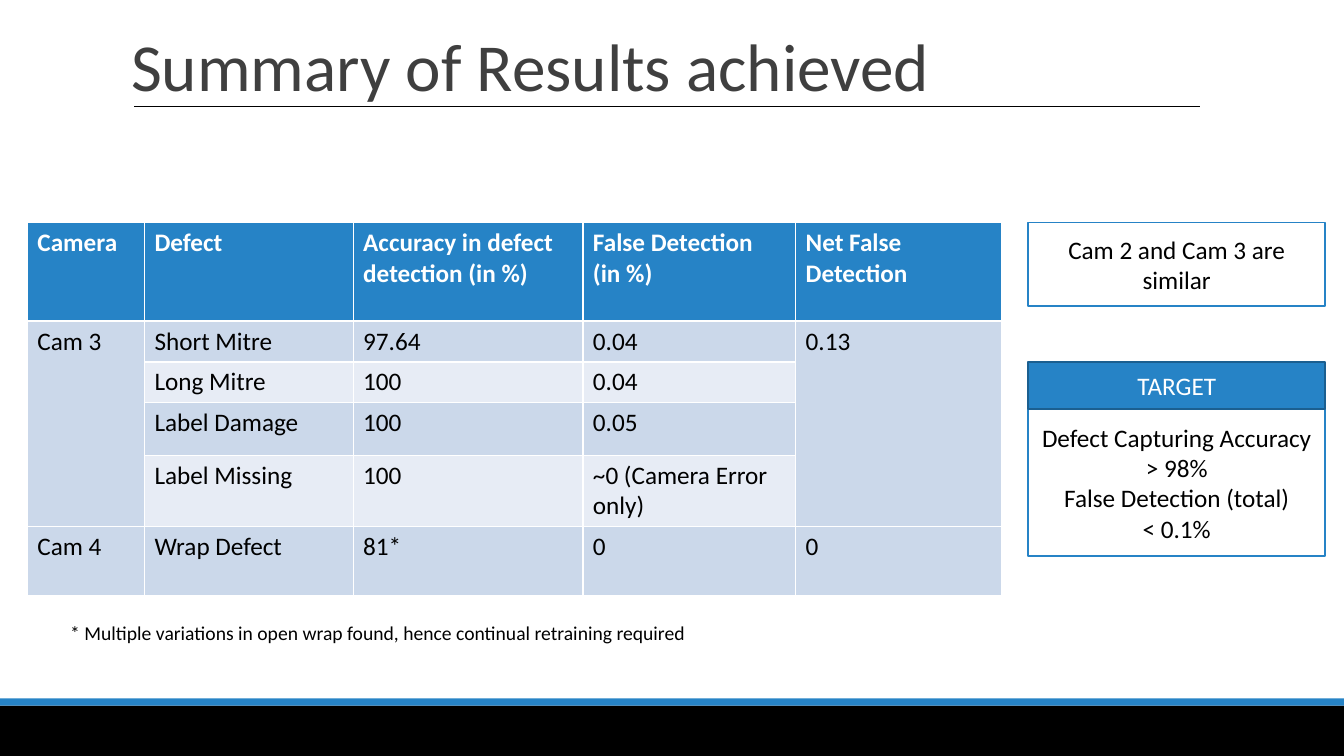
from lxml import etree
from pptx import Presentation
from pptx.dml.color import RGBColor
from pptx.enum.shapes import MSO_CONNECTOR, MSO_SHAPE
from pptx.enum.text import MSO_ANCHOR, PP_ALIGN
from pptx.oxml.ns import qn
from pptx.util import Cm, Pt

RECTANGLE = MSO_SHAPE.RECTANGLE
STRAIGHT = MSO_CONNECTOR.STRAIGHT
TOP, MIDDLE = MSO_ANCHOR.TOP, MSO_ANCHOR.MIDDLE
LEFT, CENTER = PP_ALIGN.LEFT, PP_ALIGN.CENTER

BLACK = RGBColor(0x00, 0x00, 0x00)
WHITE = RGBColor(0xFF, 0xFF, 0xFF)
TITLE_GREY = RGBColor(0x3F, 0x3F, 0x3F)
BLUE = RGBColor(0x26, 0x83, 0xC6)
DARK_BLUE = RGBColor(0x1B, 0x5F, 0x90)
BAND_DARK = RGBColor(0xCB, 0xD8, 0xEA)
BAND_LIGHT = RGBColor(0xE7, 0xEC, 0xF5)

FONT = "Calibri"
SLIDE_WIDTH, SLIDE_HEIGHT = Cm(33.87), Cm(19.05)
CONTENT_TOP = Cm(5.61)

COLUMN_WIDTHS = [2.95, 5.26, 5.79, 5.36, 5.2]
ROW_HEIGHTS = [2.48, 1.02, 1.02, 1.32, 1.74, 1.74]
RESULTS = [
    ["Camera", "Defect", "Accuracy in defect detection (in %)",
     "False Detection (in %)", "Net False Detection"],
    ["Cam 3", "Short Mitre", "97.64", "0.04", "0.13"],
    ["", "Long Mitre", "100", "0.04", ""],
    ["", "Label Damage", "100", "0.05", ""],
    ["", "Label Missing", "100", "~0 (Camera Error only)", ""],
    ["Cam 4", "Wrap Defect", "81*", "0", "0"],
]


def write(text_frame, text, size, color, align=LEFT, bold=False):
    text_frame.text = text
    text_frame.word_wrap = True
    for paragraph in text_frame.paragraphs:
        paragraph.alignment = align
        font = paragraph.font
        font.name, font.size, font.bold = FONT, Pt(size), bold
        font.color.rgb = color


def add_box(slide, left, top, width, height, fill, border=None):
    box = slide.shapes.add_shape(RECTANGLE, left, top, width, height)
    box.shadow.inherit = False
    box.fill.solid()
    box.fill.fore_color.rgb = fill
    if border is None:
        box.line.fill.background()
    else:
        box.line.color.rgb = border
        box.line.width = Pt(1.25)
    return box


def add_label_box(slide, left, top, width, height, text, fill, border, color):
    box = add_box(slide, left, top, width, height, fill, border)
    box.text_frame.vertical_anchor = MIDDLE
    write(box.text_frame, text, 18, color, CENTER)


def add_footer(slide, top, height):
    stripe_height = Cm(0.18)
    add_box(slide, 0, top, SLIDE_WIDTH, height, BLACK)
    add_box(slide, 0, top - stripe_height, SLIDE_WIDTH, stripe_height, BLUE)


def add_title(slide, left, top, width, height):
    title = slide.shapes.title
    title.left, title.top, title.width, title.height = left, top, width, height
    title.text_frame.vertical_anchor = TOP
    write(title.text_frame, "Summary of Results achieved", 48, TITLE_GREY)
    title.text_frame.paragraphs[0].line_spacing = 0.85

    rule_left, rule_top = left + Cm(0.33), top + Cm(1.9)
    rule = slide.shapes.add_connector(
        STRAIGHT, rule_left, rule_top, rule_left + Cm(26.85), rule_top)
    rule.line.color.rgb = BLACK
    rule.line.width = Pt(1)
    etree.SubElement(rule.line._get_or_add_ln().getparent(), qn("a:effectLst"))


def add_results_table(slide, left, top):
    table = slide.shapes.add_table(
        len(ROW_HEIGHTS), len(COLUMN_WIDTHS), left, top,
        Cm(sum(COLUMN_WIDTHS)), Cm(sum(ROW_HEIGHTS))).table
    for column, width in zip(table.columns, COLUMN_WIDTHS):
        column.width = Cm(width)
    for r, (row, height) in enumerate(zip(RESULTS, ROW_HEIGHTS)):
        table.rows[r].height = Cm(height)
        header = r == 0
        band = BLUE if header else BAND_DARK if r % 2 else BAND_LIGHT
        for c, text in enumerate(row):
            cell = table.cell(r, c)
            cell.fill.solid()
            cell.fill.fore_color.rgb = band
            write(cell.text_frame, text, 18, WHITE if header else BLACK,
                  bold=header)
    for c in (0, len(COLUMN_WIDTHS) - 1):
        table.cell(1, c).merge(table.cell(4, c))


def add_side_notes(slide, left, top, width):
    target_top, header_height = top + Cm(3.51), Cm(1.19)
    add_label_box(slide, left, target_top + header_height, width, Cm(3.71),
                  "Defect Capturing Accuracy\n> 98%\vFalse Detection (total)\n< 0.1%",
                  WHITE, BLUE, BLACK)
    add_label_box(slide, left, target_top, width, header_height,
                  "TARGET", BLUE, DARK_BLUE, WHITE)
    add_label_box(slide, left, top, width, Cm(2.11),
                  "Cam 2 and Cam 3 are similar", WHITE, BLUE, BLACK)


def add_footnote(slide, left, top, width, height):
    footnote = slide.shapes.add_textbox(left, top, width, height)
    write(footnote.text_frame,
          "* Multiple variations in open wrap found, "
          "hence continual retraining required", 14, BLACK)


def main():
    presentation = Presentation()
    presentation.slide_width = SLIDE_WIDTH
    presentation.slide_height = SLIDE_HEIGHT
    slide = presentation.slides.add_slide(presentation.slide_layouts[5])
    add_footer(slide, Cm(17.78), Cm(1.27))
    add_title(slide, Cm(3.05), Cm(0.79), Cm(27.94), Cm(4.04))
    add_results_table(slide, Cm(0.69), CONTENT_TOP)
    add_side_notes(slide, Cm(25.91), CONTENT_TOP, Cm(7.49))
    add_footnote(slide, Cm(1.52), Cm(15.52), Cm(21.49), Cm(0.86))
    presentation.save("out.pptx")


if __name__ == "__main__":
    main()
